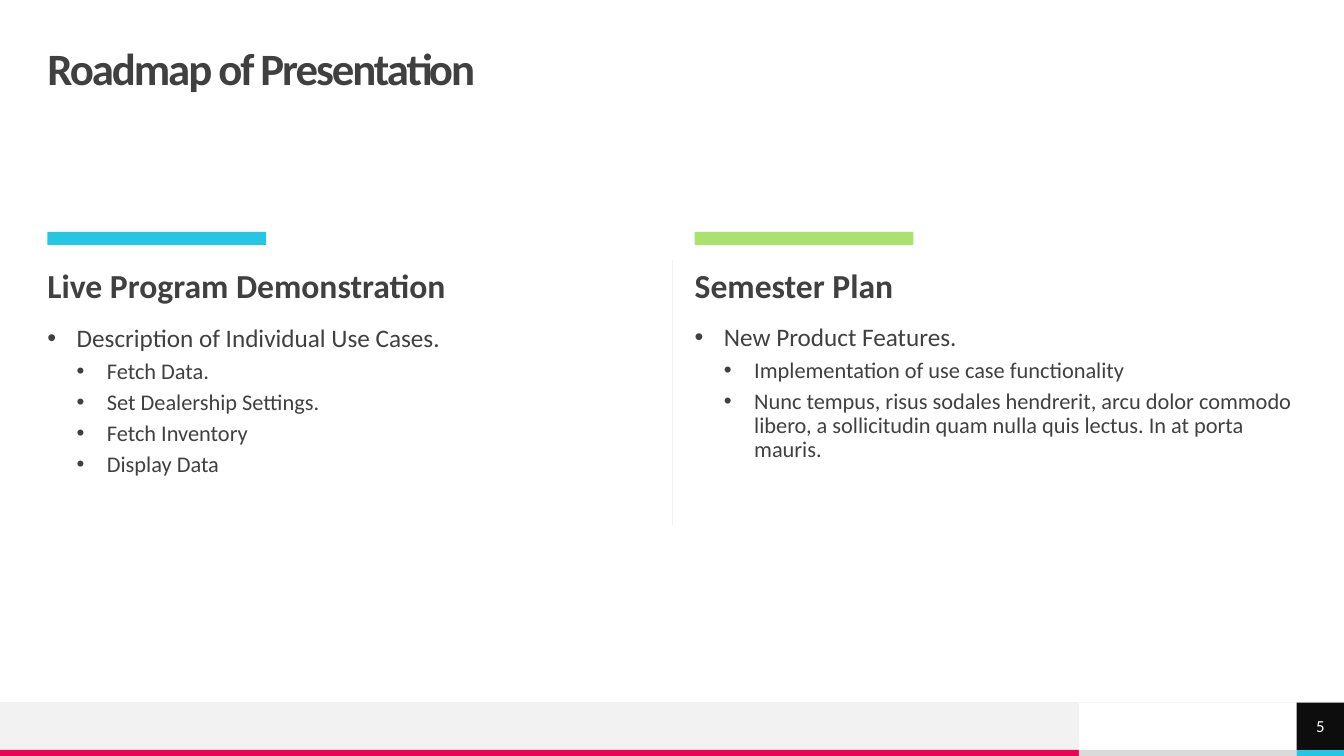
from lxml.etree import SubElement
from pptx import Presentation
from pptx.dml.color import RGBColor
from pptx.enum.shapes import MSO_CONNECTOR, MSO_SHAPE
from pptx.enum.text import MSO_ANCHOR, MSO_AUTO_SIZE, PP_ALIGN
from pptx.oxml.ns import qn
from pptx.util import Emu, Pt

FONT = "Calibri"
CYAN = RGBColor(0x25, 0xC6, 0xE3)
GREEN = RGBColor(0xA9, 0xE2, 0x6F)
CRIMSON = RGBColor(0xE8, 0x05, 0x54)
INK = RGBColor(0x40, 0x40, 0x40)
BLACK = RGBColor(0x0D, 0x0D, 0x0D)
WHITE = RGBColor(0xFF, 0xFF, 0xFF)
PALE = RGBColor(0xF2, 0xF2, 0xF2)
SILVER = RGBColor(0xDA, 0xDA, 0xDA)

SLIDE_WIDTH, SLIDE_HEIGHT = 1333, 750
MARGIN = 47
COLUMN_WIDTH = 598
FOOTER_TOP, STRIPE_TOP = 697, 744
BAND_RIGHT, NUMBER_LEFT = 1070, 1286
LEVELS = [(18, 10, 29, 29), (16, 5, 59, 30)]

COLUMNS = [
    (MARGIN, 323, CYAN, "Live Program Demonstration", [
        (0, "Description of Individual Use Cases."),
        (1, "Fetch Data."),
        (1, "Set Dealership Settings."),
        (1, "Fetch Inventory"),
        (1, "Display Data"),
    ]),
    (689, 322, GREEN, "Semester Plan", [
        (0, "New Product Features."),
        (1, "Implementation of use case functionality"),
        (1, "Nunc tempus, risus sodales hendrerit, arcu dolor commodo libero, "
            "a sollicitudin quam nulla quis lectus. In at porta mauris."),
    ]),
]


def px(length):
    """Turn a length of hundredths of an inch into EMU."""
    return Emu(length * 9144)


def add_span(para, text, size, color=INK, bold=False, spacing=0):
    """Add one formatted run, with letter spacing in hundredths of a point."""
    span = para.add_run()
    span.text = text
    span.font.name = FONT
    span.font.size = Pt(size)
    span.font.bold = bold
    span.font.color.rgb = color
    if spacing:
        span.font._element.set("spc", str(spacing))


def set_frame(box, anchor):
    """Set wrapping and anchor, clear the insets, and return the text frame."""
    frame = box.text_frame
    frame.word_wrap = True
    frame.auto_size = MSO_AUTO_SIZE.NONE
    frame.vertical_anchor = anchor
    frame.margin_left = frame.margin_top = frame.margin_right = frame.margin_bottom = 0
    return frame


def place(box, left, top, width, height):
    """Move and size a placeholder."""
    box.left, box.top, box.width, box.height = map(px, (left, top, width, height))


def add_block(page, left, top, width, height, color):
    """Add a plain filled rectangle."""
    block = page.shapes.add_shape(MSO_SHAPE.RECTANGLE, *map(px, (left, top, width, height)))
    block.shadow.inherit = False
    block.fill.solid()
    block.fill.fore_color.rgb = color
    block.line.fill.background()
    return block


def add_rule(page, *ends):
    """Add a thin pale line."""
    rule = page.shapes.add_connector(MSO_CONNECTOR.STRAIGHT, *map(px, ends))
    rule.line.color.rgb = PALE
    rule.line.width = Pt(0.5)
    SubElement(rule._element.spPr, qn("a:effectLst"))


def fill_heading(box, text, size, anchor, before=0, spacing=0):
    """Write a bold left-aligned heading into a placeholder."""
    para = set_frame(box, anchor).paragraphs[0]
    para.alignment = PP_ALIGN.LEFT
    para.line_spacing = 0.9
    para.space_before = Pt(before)
    add_span(para, text, size, bold=True, spacing=spacing)


def fill_list(box, items):
    """Write a bulleted list of levels and texts into a placeholder."""
    frame = set_frame(box, MSO_ANCHOR.TOP)
    for index, (level, text) in enumerate(items):
        para = frame.add_paragraph() if index else frame.paragraphs[0]
        size, before, margin, hanging = LEVELS[level]
        para.level = level
        para.line_spacing = 0.9
        para.space_before = Pt(before)
        properties = para._p.get_or_add_pPr()
        properties.set("marL", str(px(margin)))
        properties.set("indent", str(-px(hanging)))
        SubElement(properties, qn("a:buChar")).set("char", "•")
        add_span(para, text, size)


def add_footer(page):
    """Add the footer band, its stripes and the page number."""
    band_height, stripe_height = STRIPE_TOP - FOOTER_TOP, SLIDE_HEIGHT - STRIPE_TOP
    add_block(page, 0, FOOTER_TOP, BAND_RIGHT, band_height, PALE)
    for left, right, color in [(0, BAND_RIGHT, CRIMSON), (BAND_RIGHT, NUMBER_LEFT, SILVER),
                               (NUMBER_LEFT, SLIDE_WIDTH, CYAN)]:
        add_block(page, left, STRIPE_TOP, right - left, stripe_height, color)
    add_rule(page, SLIDE_WIDTH, FOOTER_TOP, 0, FOOTER_TOP)

    number = add_block(page, NUMBER_LEFT, FOOTER_TOP, SLIDE_WIDTH - NUMBER_LEFT, band_height, BLACK)
    para = set_frame(number, MSO_ANCHOR.MIDDLE).paragraphs[0]
    para.alignment = PP_ALIGN.CENTER
    add_span(para, "5", 12, WHITE)


def add_column(page, heading, body, column):
    """Fill one column: accent bar, heading and list."""
    left, list_top, color, title, items = column
    add_block(page, left, 230, 217, 13, color)
    place(heading, left, 267, COLUMN_WIDTH, 39)
    fill_heading(heading, title, 24, MSO_ANCHOR.TOP, before=10)
    place(body, left, list_top, COLUMN_WIDTH, 240)
    fill_list(body, items)


def main():
    """Build the roadmap slide and save it."""
    deck = Presentation()
    deck.slide_width, deck.slide_height = px(SLIDE_WIDTH), px(SLIDE_HEIGHT)
    page = deck.slides.add_slide(deck.slide_layouts.get_by_name("Comparison"))
    add_footer(page)
    title, *boxes = page.placeholders
    place(title, MARGIN, 47, 1240, 47)
    fill_heading(title, "Roadmap of Presentation", 32, MSO_ANCHOR.MIDDLE, spacing=-150)
    for heading, body, column in zip(boxes[::2], boxes[1::2], COLUMNS):
        add_column(page, heading, body, column)
    add_rule(page, 667, 258, 667, 522)
    deck.save("out.pptx")


if __name__ == "__main__":
    main()
